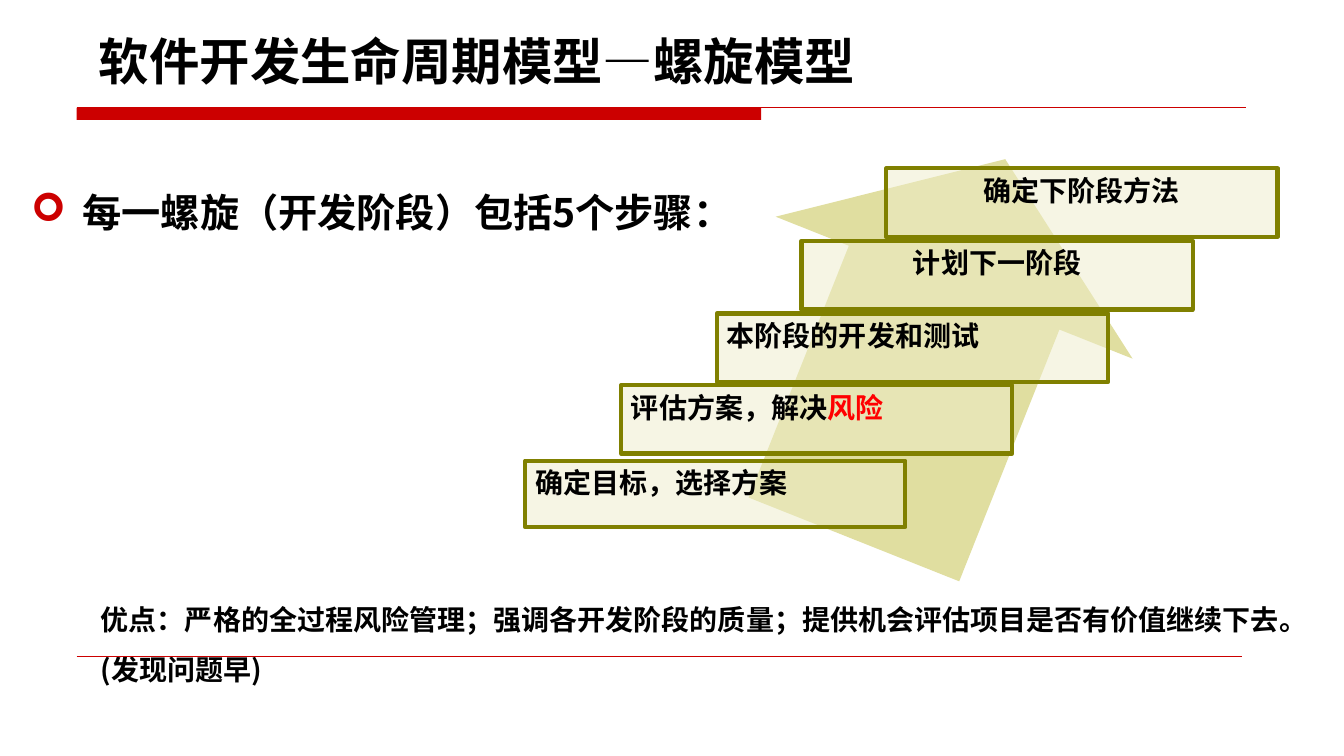
from pptx import Presentation
from pptx.dml.color import RGBColor
from pptx.enum.shapes import MSO_CONNECTOR as Connector, MSO_SHAPE as Shape
from pptx.enum.text import MSO_ANCHOR as Anchor, MSO_AUTO_SIZE as AutoSize, PP_ALIGN as Align
from pptx.oxml.ns import qn
from pptx.util import Inches, Pt
from lxml.etree import SubElement

COLORS = {"text": "000000", "red": "CC0000", "risk": "FF0000", "arrow": "E0DEA0",
          "step": "EEEDCA", "border": "808000"}
HEADING_FONT = "Noto Sans CJK SC"
STEP_FONT = "DejaVu Sans"
STEPS = [
    ((8.79, 1.67, 3.88, 0.68), Align.CENTER, [("确定下阶段方法", "text")]),
    ((7.95, 2.39, 3.88, 0.68), Align.CENTER, [("计划下一阶段", "text")]),
    ((7.11, 3.11, 3.88, 0.68), Align.LEFT, [("本阶段的开发和测试", "text")]),
    ((6.16, 3.82, 3.88, 0.68), Align.LEFT, [("评估方案，解决", "text"), ("风险", "risk")]),
    ((5.21, 4.57, 3.77, 0.66), Align.LEFT, [("确定目标，选择方案", "text")]),
]


def rgb(name):
    """Return the named colour."""
    return RGBColor.from_string(COLORS[name])


def apply(target, **values):
    """Set attributes from format values."""
    for name, value in values.items():
        setattr(target, name, value)


def place(shape, box):
    """Move a shape to a box given in inches."""
    names = ("left", "top", "width", "height")
    apply(shape, **dict(zip(names, map(Inches, box))))


def add_text(paragraph, text, size, font, color="text"):
    """Add a bold run in one font for Latin and East Asian text."""
    run = paragraph.add_run()
    run.text = text
    apply(run.font, name=font, size=Pt(size), bold=True)
    run.font.color.rgb = rgb(color)
    SubElement(run._r.get_or_add_rPr(), qn("a:ea"), typeface=font)


def set_indent(paragraph, margin, indent, bullet=None):
    """Set the indents in inches and the bullet of a paragraph."""
    properties = paragraph._p.get_or_add_pPr()
    properties.set("marL", str(Inches(margin)))
    properties.set("indent", str(Inches(indent)))
    if bullet:
        color = SubElement(properties, qn("a:buClr"))
        SubElement(color, qn("a:srgbClr"), val=COLORS["red"])
        SubElement(properties, qn("a:buFont"), typeface="Wingdings")
        SubElement(properties, qn("a:buChar"), char=bullet)
    else:
        SubElement(properties, qn("a:buNone"))


def add_filled(slide, kind, box, color):
    """Add a flat filled shape without outline."""
    shape = slide.shapes.add_shape(kind, *map(Inches, box))
    shape.shadow.inherit = False
    shape.fill.solid()
    shape.fill.fore_color.rgb = rgb(color)
    shape.line.fill.background()
    return shape


def add_rule(slide, left, top, width, weight):
    """Add a thin horizontal red line."""
    line = slide.shapes.add_connector(
        Connector.STRAIGHT, *map(Inches, (left, top, left + width, top)))
    line.line.color.rgb = rgb("red")
    line.line.width = Pt(weight)
    SubElement(line._element.spPr, qn("a:effectLst"))


def add_title(slide, box):
    """Fill the title placeholder."""
    title = slide.shapes.title
    place(title, box)
    frame = title.text_frame
    apply(frame, word_wrap=False, auto_size=AutoSize.NONE, vertical_anchor=Anchor.TOP)
    paragraph = frame.paragraphs[0]
    paragraph.alignment = Align.LEFT
    add_text(paragraph, "软件开发生命周期模型—螺旋模型", 36, HEADING_FONT)


def add_body(slide, box):
    """Fill the body placeholder with the lead line and the advantages."""
    body = slide.placeholders[1]
    place(body, box)
    frame = body.text_frame
    apply(frame, word_wrap=True, auto_size=AutoSize.NONE, vertical_anchor=Anchor.TOP)
    lead, advantages = frame.paragraphs[0], frame.add_paragraph()
    apply(lead, line_spacing=Pt(55), space_before=Pt(0))
    apply(advantages, line_spacing=Pt(36), space_before=Pt(250))
    set_indent(lead, 0.51, -0.51, "➢")
    set_indent(advantages, 0.69, 0)
    add_text(lead, "每一螺旋（开发阶段）包括5个步骤：", 28, HEADING_FONT)
    add_text(advantages, "优点：严格的全过程风险管理；强调各开发阶段的质量；"
             "提供机会评估项目是否有价值继续下去。(发现问题早)", 20, HEADING_FONT)


def add_rules(slide, left, top, width):
    """Draw the red header bar with its line and the footer line."""
    add_filled(slide, Shape.RECTANGLE, (left, top, 6.79, 0.12), "red")
    add_rule(slide, left, top, width, 0.75)
    add_rule(slide, left, top + 5.44, width - 0.04, 0.25)


def add_step(slide, box, alignment, parts):
    """Draw one translucent step of the staircase."""
    step = add_filled(slide, Shape.RECTANGLE, box, "step")
    SubElement(step.fill._xPr.find(".//" + qn("a:srgbClr")), qn("a:alpha"), val="50000")
    step.line.color.rgb = rgb("border")
    step.line.width = Pt(3)
    apply(step.text_frame, word_wrap=True, vertical_anchor=Anchor.TOP)
    paragraph = step.text_frame.paragraphs[0]
    paragraph.alignment = alignment
    for text, color in parts:
        add_text(paragraph, text, 20, STEP_FONT, color)


def add_staircase(slide, arrow_box):
    """Draw the rising arrow and the steps over it."""
    arrow = add_filled(slide, Shape.RIGHT_ARROW, arrow_box, "arrow")
    arrow.rotation = 291.7
    arrow.adjustments[0] = 0.59
    arrow.adjustments[1] = 0.36
    for box, alignment, parts in STEPS:
        add_step(slide, box, alignment, parts)


def main():
    """Build and save the slide."""
    presentation = Presentation()
    apply(presentation, slide_width=Inches(13.33), slide_height=Inches(7.5))
    slide = presentation.slides.add_slide(presentation.slide_layouts[1])
    add_rules(slide, 0.76, 1.07, 11.6)
    add_body(slide, (0.21, 1.52, 12.91, 5.39))
    add_staircase(slide, (7.19, 1.56, 4.06, 3.81))
    add_title(slide, (0.88, 0.25, 7.8, 0.71))
    presentation.save("out.pptx")


if __name__ == "__main__":
    main()
